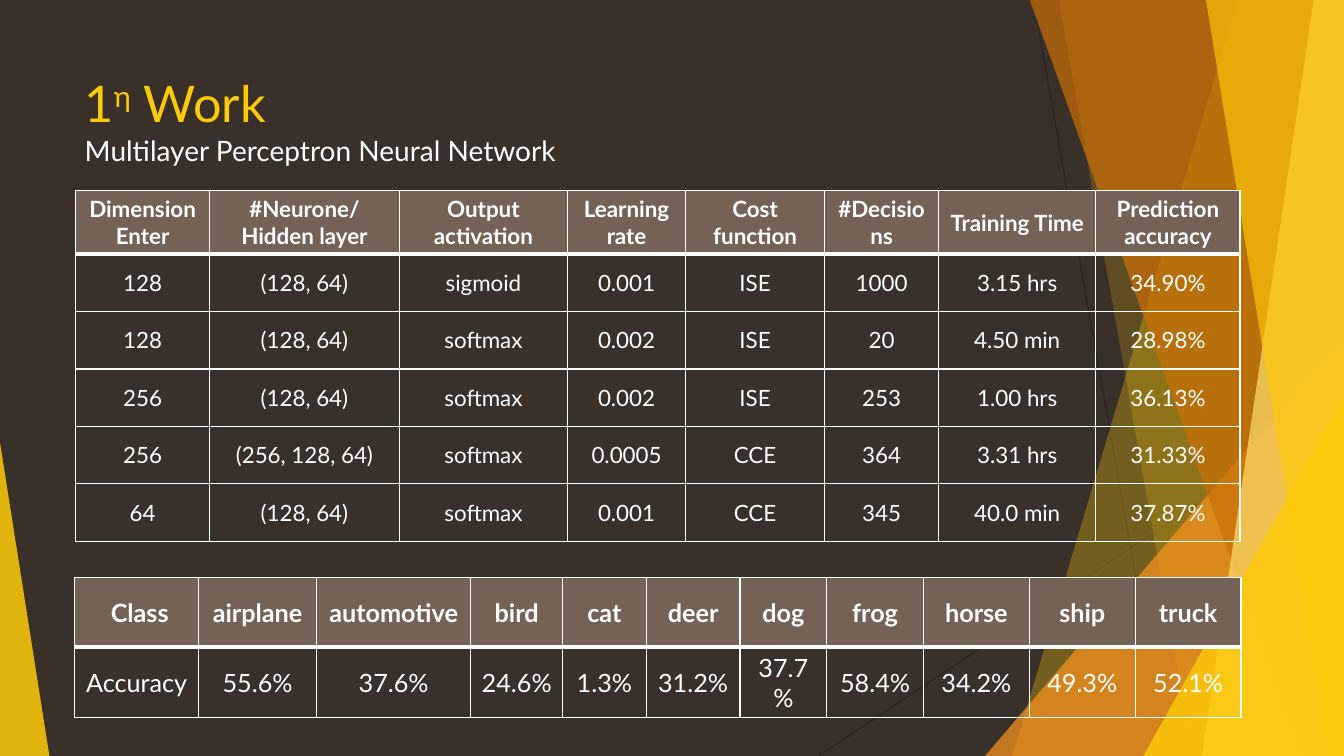
import lxml.etree
import pptx
import pptx.dml.color
import pptx.enum.shapes
import pptx.enum.text
import pptx.oxml.ns
import pptx.util

PX = 9144  # EMU in one px, 100 px to the inch
WIDTH, HEIGHT = 1333, 750
FONT = "Lato"
COLORS = {
    "background": "39302A",
    "header": "746256",
    "text": "FFFFFF",
    "gold": "FFCA08",
    "orange": "F8931D",
    "brown": "CA6F06",
    "cream": "FFDF6B",
    "hairline": "262626",
}

RUNS = [
    ["Dimension\nEnter", "#Neurone/\nHidden layer", "Output activation", "Learning rate",
     "Cost function", "#Decisions", "Training Time", "Prediction accuracy"],
    ["128", "(128, 64)", "sigmoid", "0.001", "ISE", "1000", "3.15 hrs", "34.90%"],
    ["128", "(128, 64)", "softmax", "0.002", "ISE", "20", "4.50 min", "28.98%"],
    ["256", "(128, 64)", "softmax", "0.002", "ISE", "253", "1.00 hrs", "36.13%"],
    ["256", "(256, 128, 64)", "softmax", "0.0005", "CCE", "364", "3.31 hrs", "31.33%"],
    ["64", "(128, 64)", "softmax", "0.001", "CCE", "345", "40.0 min", "37.87%"],
]
CLASS_ACCURACY = [
    [" Class", "airplane", "automotive", "bird", "cat", "deer", "dog", "frog", "horse",
     "ship", "truck"],
    ["Accuracy", "55.6%", "37.6%", "24.6%", "1.3%", "31.2%", "37.7%", "58.4%", "34.2%",
     "49.3%", "52.1%"],
]


def px(*lengths):
    return [pptx.util.Emu(length * PX) for length in lengths]


def rgb(name):
    return pptx.dml.color.RGBColor.from_string(COLORS[name])


def add_element(parent, tag, **attributes):
    return lxml.etree.SubElement(parent, pptx.oxml.ns.qn(tag), **attributes)


def write(para, text, size, color="text", bold=False, baseline=0):
    """Add a run; baseline is a percentage, positive for superscript."""
    span = para.add_run()
    span.text = text
    span.font.name = FONT
    span.font.size = pptx.util.Pt(size)
    span.font.bold = bold
    span.font.color.rgb = rgb(color)
    if baseline:
        span._r.get_or_add_rPr().set("baseline", str(baseline * 1000))


def paint(shape, color, opacity):
    shape.shadow.inherit = False
    shape.line.fill.background()
    shape.fill.solid()
    shape.fill.fore_color.rgb = rgb(color)
    color_node = shape.fill._xPr.find(".//" + pptx.oxml.ns.qn("a:srgbClr"))
    add_element(color_node, "a:alpha", val=str(opacity * 1000))


def add_hairline(page, *ends):
    line = page.shapes.add_connector(pptx.enum.shapes.MSO_CONNECTOR.STRAIGHT, *px(*ends))
    line.line.color.rgb = rgb("hairline")
    line.line.width = pptx.util.Pt(0.75)
    add_element(line._element.spPr, "a:effectLst")


def add_band(page, top_left, bottom_left, color, opacity):
    """Fill from a slanted left edge to the right edge of the slide."""
    builder = page.shapes.build_freeform(top_left, -1, scale=PX)
    builder.add_line_segments([(WIDTH, -1), (WIDTH, HEIGHT), (bottom_left, HEIGHT)])
    paint(builder.convert_to_shape(), color, opacity)


def add_corner(page, left, top, width, apex, color, opacity):
    """Draw a triangle standing on the bottom edge; apex runs from 0 to 1."""
    corner = page.shapes.add_shape(pptx.enum.shapes.MSO_SHAPE.ISOSCELES_TRIANGLE,
                                   *px(left, top, width, HEIGHT - top))
    corner.adjustments[0] = apex
    paint(corner, color, opacity)


def add_backdrop(page):
    page.background.fill.solid()
    page.background.fill.fore_color.rgb = rgb("background")
    add_hairline(page, 1025, 0, 1158, HEIGHT)
    add_hairline(page, WIDTH, 403, 812, HEIGHT)
    add_band(page, 1228, 1004, "gold", 30)
    add_band(page, 1050, 1183, "gold", 20)
    add_corner(page, 977, 333, 356, 1, "orange", 72)
    add_band(page, 1021, 1291, "brown", 70)
    add_band(page, 1303, 1192, "cream", 70)
    add_band(page, 1196, 1318, "gold", 65)
    add_corner(page, 1134, 393, 199, 1, "gold", 80)
    add_corner(page, 0, 439, 49, 0, "gold", 85)


def add_title(page, box):
    title = page.shapes.title
    page.shapes._spTree.append(title._element)  # bring in front of the backdrop
    title.left, title.top, title.width, title.height = px(*box)
    frame = title.text_frame
    frame.word_wrap = True
    frame.auto_size = pptx.enum.text.MSO_AUTO_SIZE.NONE
    frame.vertical_anchor = pptx.enum.text.MSO_ANCHOR.TOP
    para = frame.paragraphs[0]
    para.alignment = pptx.enum.text.PP_ALIGN.LEFT
    write(para, "1", 36, color="gold")
    write(para, "η", 36, color="gold", baseline=30)
    write(para, " Work", 36, color="gold")
    para.add_line_break()
    add_element(para._p[-1], "a:rPr", sz="3600")
    write(para, "Multilayer Perceptron Neural Network", 20)


def set_borders(cell, top, bottom):
    """Draw white cell borders; top and bottom are widths in points."""
    properties = cell._tc.get_or_add_tcPr()
    widths = {"a:lnL": 1, "a:lnR": 1, "a:lnT": top, "a:lnB": bottom}
    for index, (tag, width) in enumerate(widths.items()):
        border = add_element(properties, tag, w=str(pptx.util.Pt(width)))
        add_element(add_element(border, "a:solidFill"), "a:srgbClr", val=COLORS["text"])
        properties.insert(index, border)


def fill_cell(cell, text, size, row):
    cell.vertical_anchor = pptx.enum.text.MSO_ANCHOR.MIDDLE
    if row == 0:
        cell.fill.solid()
        cell.fill.fore_color.rgb = rgb("header")
    else:
        cell.fill.background()
    set_borders(cell, top=3 if row == 1 else 1, bottom=3 if row == 0 else 1)
    frame = cell.text_frame
    for index, line in enumerate(text.split("\n")):
        para = frame.add_paragraph() if index else frame.paragraphs[0]
        para.alignment = pptx.enum.text.PP_ALIGN.CENTER
        write(para, line, size, bold=row == 0)


def add_results(page, left, top, widths, heights, rows, size):
    table = page.shapes.add_table(len(rows), len(widths),
                                  *px(left, top, sum(widths), sum(heights))).table
    table.horz_banding = False
    for column, width in zip(table.columns, px(*widths)):
        column.width = width
    for row, height in zip(table.rows, px(*heights)):
        row.height = height
    for row, texts in enumerate(rows):
        for column, text in enumerate(texts):
            fill_cell(table.cell(row, column), text, size, row)


def main():
    deck = pptx.Presentation()
    deck.slide_width, deck.slide_height = px(WIDTH, HEIGHT)
    page = deck.slides.add_slide(deck.slide_layouts[5])
    add_backdrop(page)
    add_title(page, (74, 67, 940, 144))
    add_results(page, 75, 189, [133, 188, 167, 117, 138, 113, 156, 143],
                [63] + [57] * 5, RUNS, 16)
    add_results(page, 74, 573, [123, 117, 153, 91, 83, 93, 86, 96, 105, 105, 105],
                [69] * 2, CLASS_ACCURACY, 18)
    deck.save("out.pptx")


if __name__ == "__main__":
    main()
